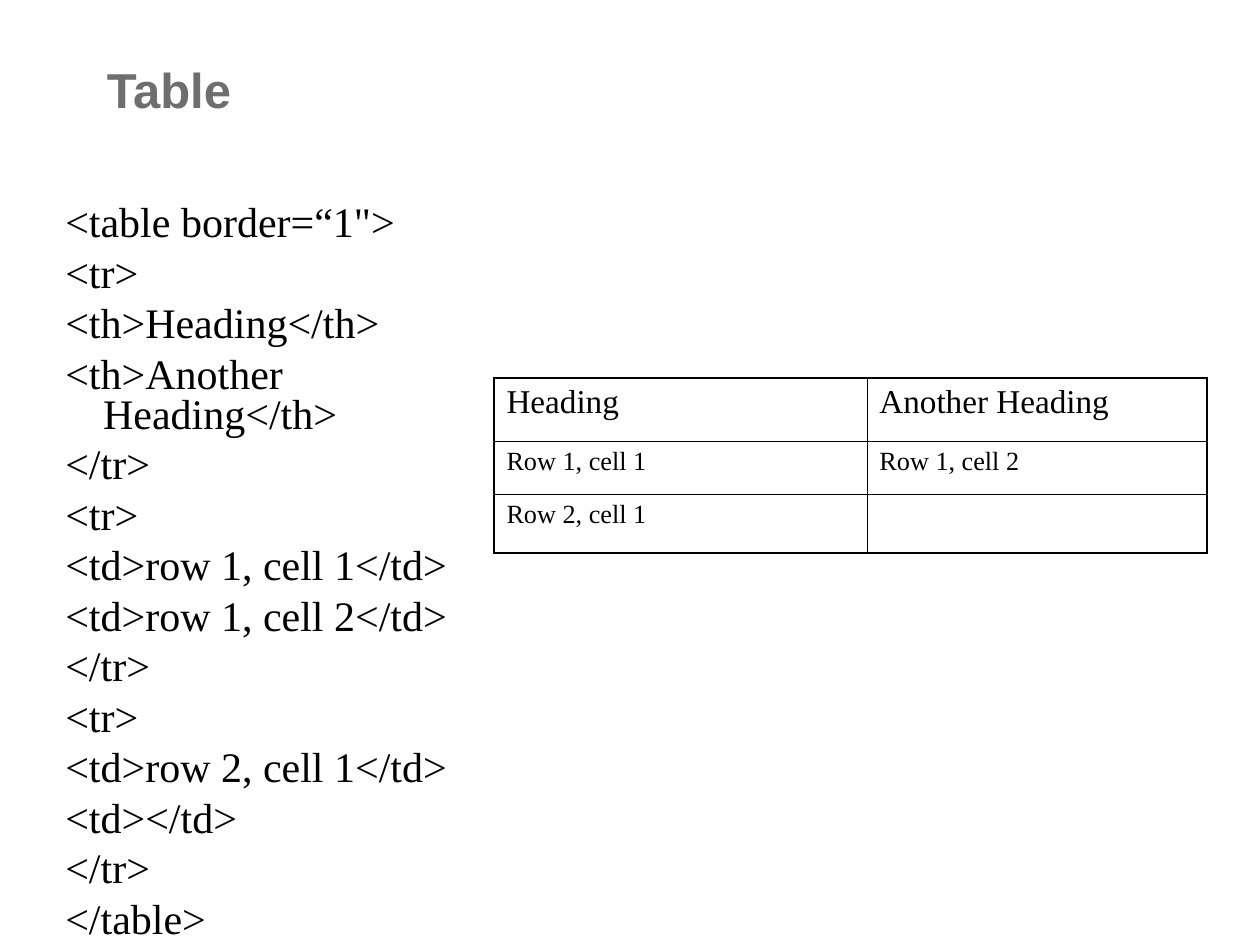
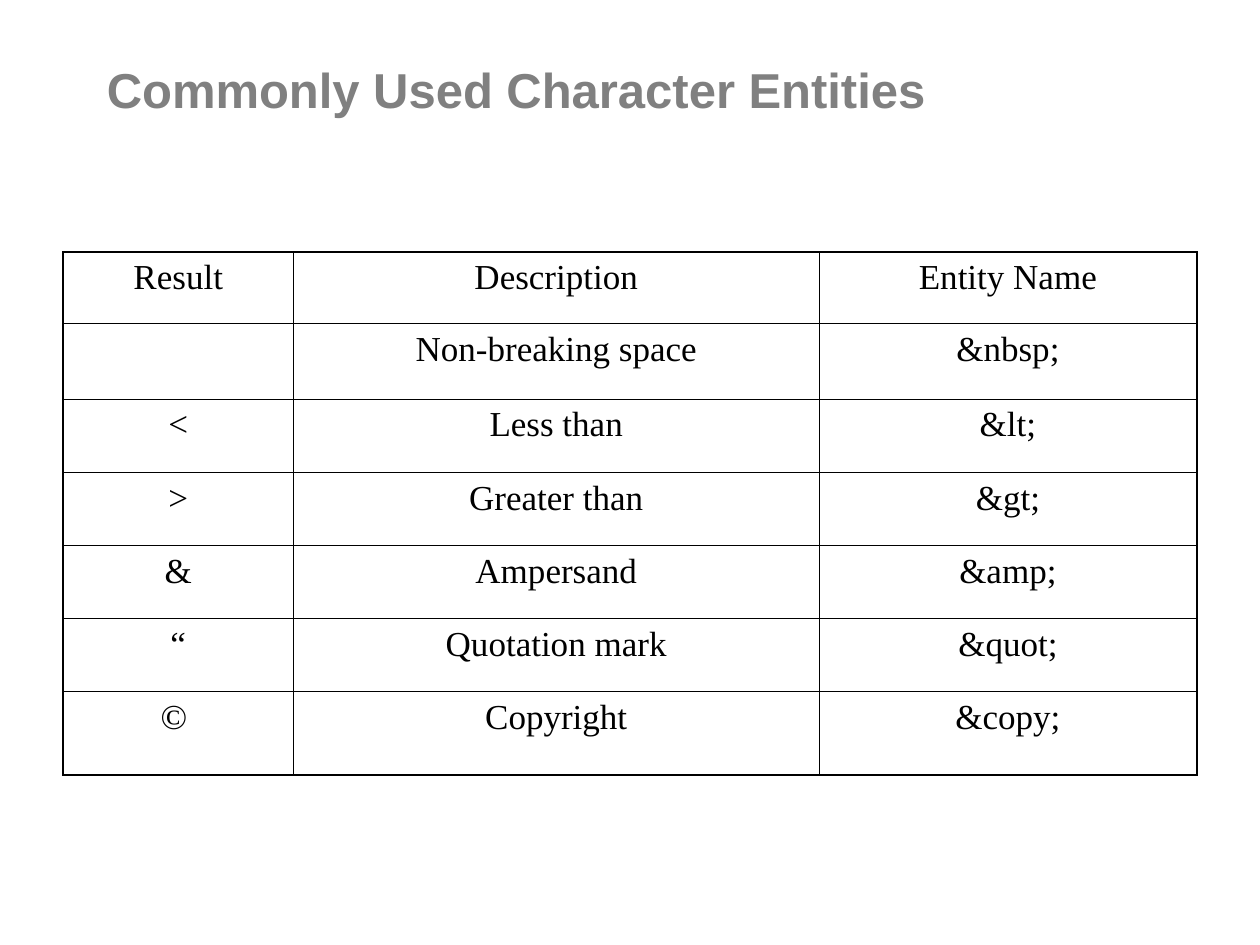
from lxml.etree import SubElement
from pptx import Presentation
from pptx.dml.color import RGBColor
from pptx.enum.text import PP_ALIGN as Align
from pptx.oxml.ns import qn
from pptx.util import Inches, Pt

BLACK = RGBColor(0x00, 0x00, 0x00)
DARK_GRAY = RGBColor(0x6E, 0x6E, 0x6E)
GRAY = RGBColor(0x80, 0x80, 0x80)

TABLE_MARKUP = """<table border=“1">
<tr>
<th>Heading</th>
<th>Another Heading</th>
</tr>
<tr>
<td>row 1, cell 1</td>
<td>row 1, cell 2</td>
</tr>
<tr>
<td>row 2, cell 1</td>
<td></td>
</tr>
</table>""".splitlines()

RENDERED_TABLE = [
    ("Heading", "Another Heading"),
    ("Row 1, cell 1", "Row 1, cell 2"),
    ("Row 2, cell 1", ""),
]

ENTITIES = [
    ("Result", "Description", "Entity Name"),
    ("", "Non-breaking space", "&nbsp;"),
    ("<", "Less than", "&lt;"),
    (">", "Greater than", "&gt;"),
    ("&", "Ampersand", "&amp;"),
    ("“", "Quotation mark", "&quot;"),
    ("© ", "Copyright", "&copy;"),
]


def write(para, text, size, font="Times New Roman", color=BLACK, bold=False,
          align=Align.LEFT, before=0, spacing=1.0, hanging=0):
    """Put text in a paragraph with the given format."""
    para.alignment = align
    para.space_before = Pt(before)
    para.line_spacing = spacing
    if hanging:
        properties = para._p.get_or_add_pPr()
        properties.set("marL", str(Inches(hanging)))
        properties.set("indent", str(-Inches(hanging)))
    para.font.size = Pt(size)
    if text:
        span = para.add_run()
        span.text = text
        span.font.name = font
        span.font.size = Pt(size)
        span.font.bold = bold
        span.font.color.rgb = color


class Deck:
    """Hold the shared style and the current slide."""

    outer_line = 1.08
    inner_line = 0.45
    paragraph_gap = 5.8

    def __init__(self):
        self.deck = Presentation()
        self.deck.slide_width = Inches(10)
        self.deck.slide_height = Inches(7.5)
        self.page = None

    def add_page(self, title, color, title_width):
        """Start a slide with its title."""
        self.page = self.deck.slides.add_slide(self.deck.slide_layouts[6])
        frame = self.text_frame(0.75, 0.42, title_width, 1)
        write(frame.paragraphs[0], title, 28, font="Arial", color=color, bold=True)

    def text_frame(self, left, top, width, height):
        """Add a wrapping text box and return its frame."""
        box = self.page.shapes.add_textbox(
            Inches(left), Inches(top), Inches(width), Inches(height))
        frame = box.text_frame
        frame.word_wrap = True
        return frame

    def code(self, lines, left, top, width, height):
        """Add lines of markup with hanging indents."""
        frame = self.text_frame(left, top, width, height)
        for index, line in enumerate(lines):
            para = frame.add_paragraph() if index else frame.paragraphs[0]
            write(para, line, 24, before=self.paragraph_gap, spacing=0.8, hanging=0.3)

    def table(self, rows, left, top, widths, heights, head_size, body_size, align=Align.LEFT):
        """Add a bordered table without fill."""
        table = self.page.shapes.add_table(
            len(rows), len(widths), Inches(left), Inches(top),
            Inches(sum(widths)), Inches(sum(heights))).table
        table.first_row = table.horz_banding = False
        for column, width in zip(table.columns, widths):
            column.width = Inches(width)
        for row, height in zip(table.rows, heights):
            row.height = Inches(height)
        for r, texts in enumerate(rows):
            for c, text in enumerate(texts):
                cell = table.cell(r, c)
                write(cell.text_frame.paragraphs[0], text, body_size if r else head_size,
                      align=align, before=self.paragraph_gap)
                self.borders(cell, L=c == 0, R=c == len(widths) - 1,
                             T=r == 0, B=r == len(rows) - 1)
                cell.fill.background()

    def borders(self, cell, **outer_sides):
        """Draw heavy lines on outer sides and thin lines inside."""
        properties = cell._tc.get_or_add_tcPr()
        for side, is_outer in outer_sides.items():
            width = Pt(self.outer_line if is_outer else self.inner_line)
            line = SubElement(properties, qn(f"a:ln{side}"), w=str(width))
            fill = SubElement(line, qn("a:solidFill"))
            SubElement(fill, qn("a:srgbClr"), val=str(BLACK))


def main():
    """Build both slides and save them."""
    deck = Deck()

    deck.add_page("Table", DARK_GRAY, 8.5)
    deck.code(TABLE_MARKUP, 0.42, 1.58, 3.58, 4.92)
    deck.table(RENDERED_TABLE, 3.92, 3, [2.96, 2.7], [0.5, 0.42, 0.47], 19, 15)

    deck.add_page("Commonly Used Character Entities", GRAY, 8)
    deck.table(ENTITIES, 0.5, 2, [1.83, 4.17, 3], [0.57, 0.6, *[0.58] * 4, 0.66],
               20, 20, align=Align.CENTER)

    deck.deck.save("out.pptx")


if __name__ == "__main__":
    main()
